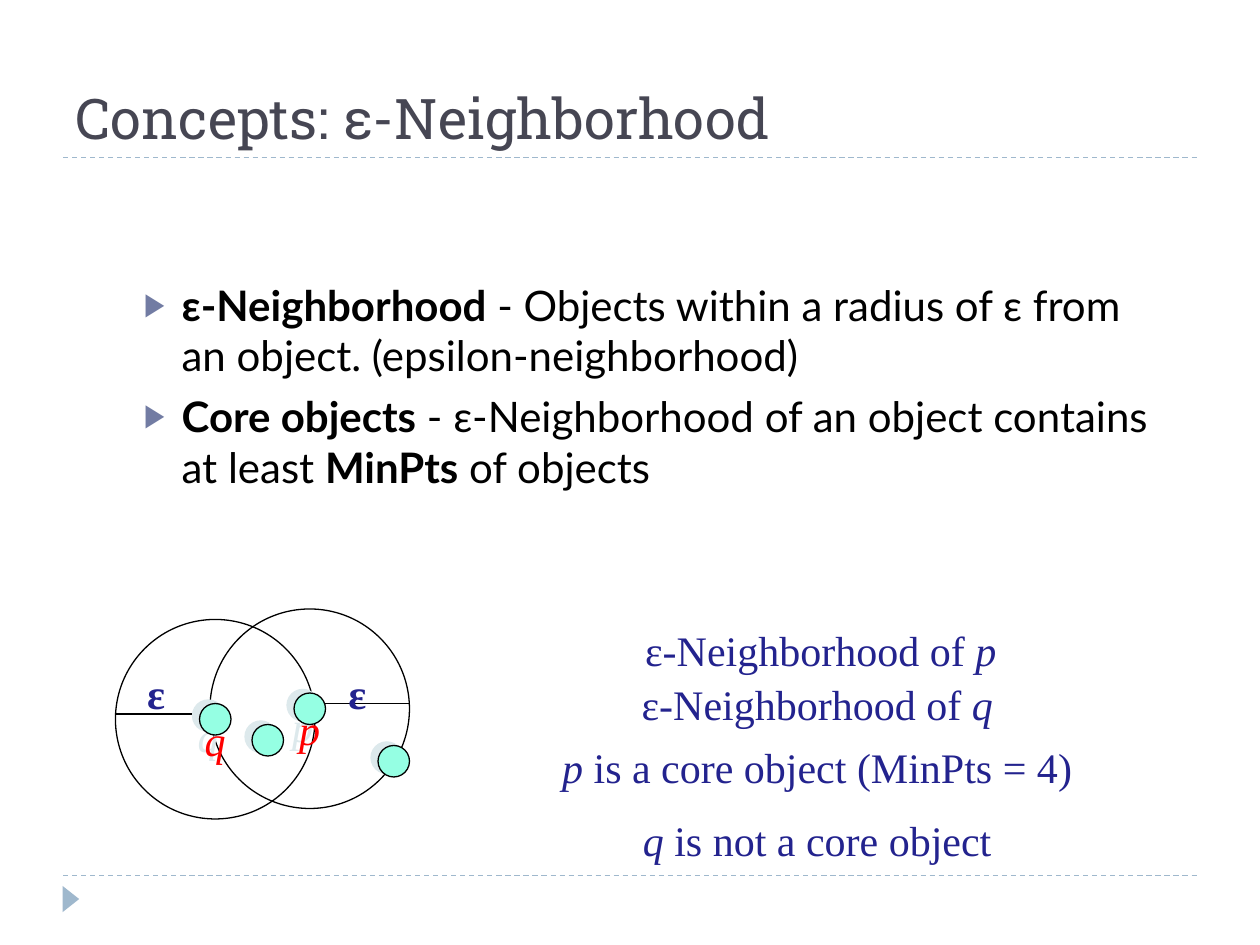
from lxml import etree
from pptx import Presentation
from pptx.dml.color import RGBColor
from pptx.enum import dml, shapes, text
from pptx.oxml.ns import qn
from pptx.util import Pt

SERIF, NAVY, RED, BLUE = "Times New Roman", "23238E", "FF0000", "9FB8CD"


def color(hex_string):
    return RGBColor.from_string(hex_string)


def format_runs(p, parts, font, size, hex_string):
    """Add (text, style) parts to a paragraph; style holds b and/or i."""
    for words, style in parts:
        r = p.add_run()
        r.text = words
        r.font.name, r.font.size = font, Pt(size)
        r.font.bold, r.font.italic = "b" in style, "i" in style
        r.font.color.rgb = color(hex_string)


prs = Presentation()
prs.slide_width, prs.slide_height = Pt(720), Pt(540)
s = prs.slides.add_slide(prs.slide_layouts[1])

# Rules: two dashed dividers and the two radius lines
for x1, x2, y, hex_string, dashed in [
    (36, 684, 500.4, BLUE, True),
    (36, 684, 90, BLUE, True),
    (66, 114, 408, "000000", False),
    (186, 234, 402, "000000", False),
]:
    line = s.shapes.add_connector(shapes.MSO_CONNECTOR.STRAIGHT, Pt(x1), Pt(y), Pt(x2), Pt(y))
    line.line.color.rgb = color(hex_string)
    line.line.width = Pt(0.75)
    if dashed:
        line.line.dash_style = dml.MSO_LINE.DASH
    etree.SubElement(line._element.spPr, qn("a:effectLst"))

# Footer marker
sp = s.shapes.add_shape(shapes.MSO_SHAPE.ISOSCELES_TRIANGLE, Pt(33), Pt(509), Pt(15), Pt(9.5))
sp.rotation = 90
sp.shadow.inherit = False
sp.fill.solid()
sp.fill.fore_color.rgb = color(BLUE)
sp.line.fill.background()

# Title
title = s.shapes.title
title.left, title.top, title.width, title.height = Pt(36), Pt(12), Pt(648), Pt(78)
tf = title.text_frame
tf.auto_size = text.MSO_AUTO_SIZE.NONE
tf.vertical_anchor = text.MSO_ANCHOR.BOTTOM
p = tf.paragraphs[0]
p.alignment = text.PP_ALIGN.LEFT
format_runs(p, [("Concepts: ε-Neighborhood", "")], "Roboto Slab", 32, "464653")

# Definitions
body = s.placeholders[1]
body.left, body.top, body.width, body.height = Pt(75), Pt(156), Pt(603), Pt(156)
tf = body.text_frame
tf.auto_size = text.MSO_AUTO_SIZE.NONE
definitions = [
    [("ε-Neighborhood", "b"),
     (" - Objects within a radius of ε from an object. (epsilon-neighborhood)", "")],
    [("Core objects", "b"), (" - ε-Neighborhood of an object contains at least ", ""),
     ("MinPts", "b"), (" of objects", "")],
]
for i, parts in enumerate(definitions):
    p = tf.paragraphs[0] if i == 0 else tf.add_paragraph()
    p.space_before = Pt(6)
    format_runs(p, parts, "Lato", 24, "000000")
    pPr = p._p.get_or_add_pPr()
    pPr.set("marL", str(Pt(21.6)))
    pPr.set("indent", str(-Pt(21.6)))
    bullet_color = etree.SubElement(pPr, qn("a:buClr"))
    etree.SubElement(bullet_color, qn("a:srgbClr"), val="727CA3")
    etree.SubElement(pPr, qn("a:buSzPct"), val="76000")
    etree.SubElement(pPr, qn("a:buChar"), char="▶")

# Neighborhood circles, then the objects with their shadows
for x, y, size, label in [
    (66, 354, 114, ""), (120, 348, 114, ""),
    (114, 402, 18, "q"), (144, 414, 18, ""), (216, 426, 18, ""), (168, 396, 18, "p"),
]:
    sp = s.shapes.add_shape(shapes.MSO_SHAPE.OVAL, Pt(x), Pt(y), Pt(size), Pt(size))
    sp.shadow.inherit = False
    sp.line.color.rgb = color("000000")
    sp.line.width = Pt(0.75)
    if size > 18:
        sp.fill.background()
        continue
    sp.fill.solid()
    sp.fill.fore_color.rgb = color("95FFE3")
    effects = sp._element.spPr.find(qn("a:effectLst"))
    shadow = etree.SubElement(effects, qn("a:outerShdw"), dist=str(Pt(4.5)),
                              dir=str(207 * 60000), algn="ctr", rotWithShape="0")
    etree.SubElement(shadow, qn("a:srgbClr"), val="DDE9EC")
    if label:
        tf = sp.text_frame
        tf.word_wrap = False
        tf.vertical_anchor = text.MSO_ANCHOR.TOP
        p = tf.paragraphs[0]
        p.alignment = text.PP_ALIGN.CENTER
        format_runs(p, [(label, "i")], SERIF, 24, RED)

# Radius labels and remarks
for x, y, width, height, paragraphs in [
    (192, 378, 24.5, 36, [[("ε", "b")]]),
    (77, 378, 24.5, 36, [[("ε", "b")]]),
    (314, 353.5, 310, 36, [[("ε-Neighborhood of ", ""), ("p", "i")]]),
    (312, 384, 310, 36, [[("ε-Neighborhood of ", ""), ("q", "i")]]),
    (312, 420, 310, 79, [[("p ", "i"), ("is a core object (MinPts = 4)", "")],
                         [("q", "i"), (" is not a core object", "")]]),
]:
    box = s.shapes.add_textbox(Pt(x), Pt(y), Pt(width), Pt(height))
    tf = box.text_frame
    tf.word_wrap = width > 100
    for i, parts in enumerate(paragraphs):
        p = tf.paragraphs[0] if i == 0 else tf.add_paragraph()
        p.alignment = text.PP_ALIGN.CENTER
        if i:
            p.space_before = Pt(13)
        format_runs(p, parts, SERIF, 24, NAVY)

prs.save("out.pptx")
